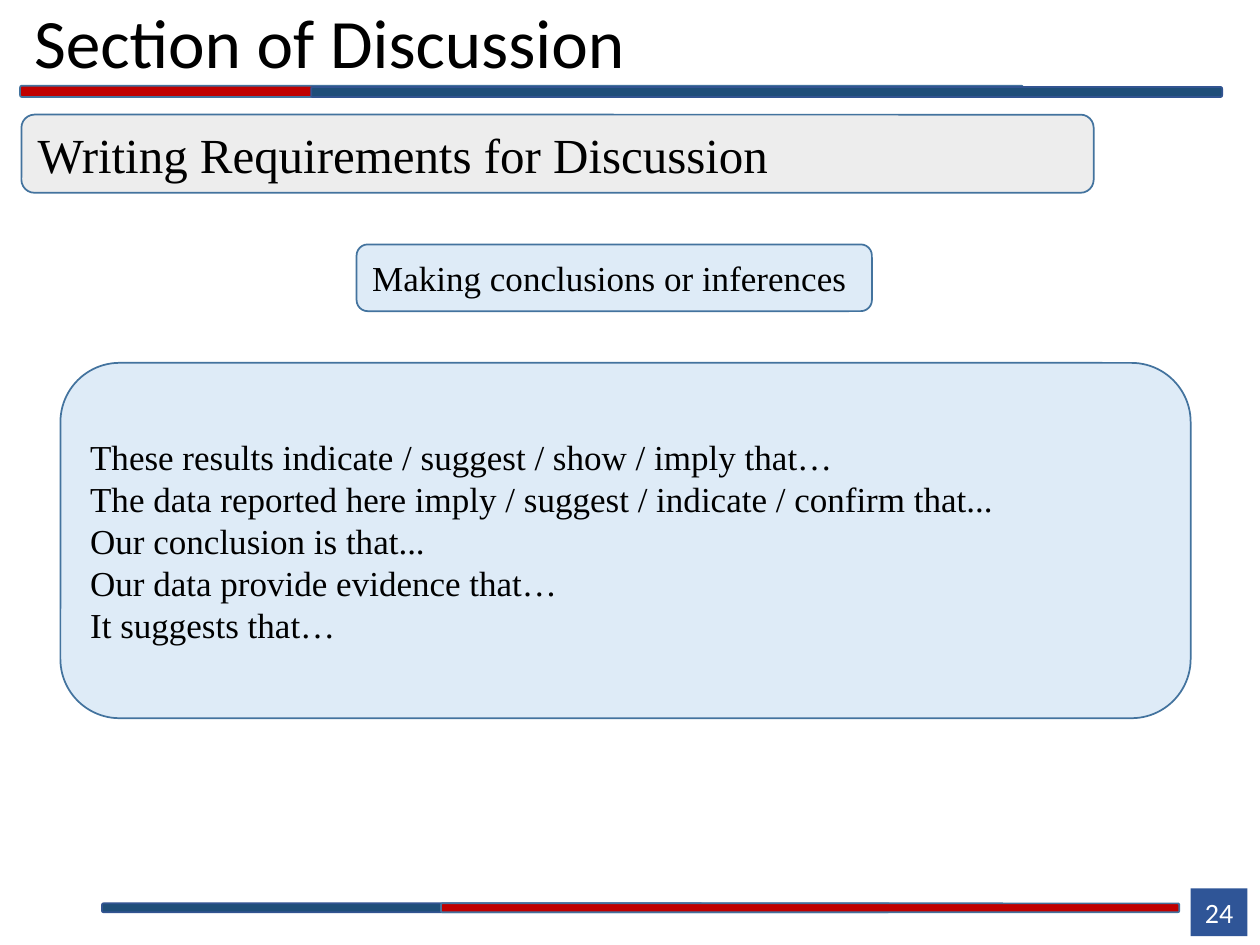
from dataclasses import dataclass

from pptx import Presentation
from pptx.dml.color import RGBColor
from pptx.enum.shapes import MSO_SHAPE
from pptx.enum.text import MSO_ANCHOR, MSO_AUTO_SIZE, PP_ALIGN
from pptx.util import Inches, Pt

RECTANGLE = MSO_SHAPE.RECTANGLE
ROUNDED = MSO_SHAPE.ROUNDED_RECTANGLE
MIDDLE = MSO_ANCHOR.MIDDLE
NO_AUTOFIT = MSO_AUTO_SIZE.NONE
LEFT, CENTER, JUSTIFY = PP_ALIGN.LEFT, PP_ALIGN.CENTER, PP_ALIGN.JUSTIFY
TITLE_ONLY = 5


@dataclass(frozen=True)
class Theme:
    sans: str = "Calibri"
    serif: str = "Times New Roman"
    black: str = "000000"
    white: str = "FFFFFF"
    red: str = "C00000"
    navy: str = "1F4E79"
    badge: str = "2F5597"
    gray: str = "EDEDED"
    pale_blue: str = "DEEBF7"
    outline: str = "43739E"
    navy_outline: str = "325491"
    title_size: float = 39.6
    heading_size: float = 28
    body_size: float = 20
    number_size: float = 16
    line_width: float = 1


THEME = Theme()
PHRASES = [
    "These results indicate / suggest / show / imply that…",
    "The data reported here imply / suggest / indicate / confirm that...",
    "Our conclusion is that...",
    "Our data provide evidence that…",
    "It suggests that…",
]


def place(box):
    return [Inches(length) for length in box]


def write(frame, lines, font, size, color, align):
    frame.word_wrap = True
    frame.vertical_anchor = MIDDLE
    for index, line in enumerate(lines):
        paragraph = frame.add_paragraph() if index else frame.paragraphs[0]
        paragraph.alignment = align
        run = paragraph.add_run()
        run.text = line
        run.font.name = font
        run.font.size = Pt(size)
        run.font.color.rgb = RGBColor.from_string(color)


def add_block(slide, box, fill, outline=None, preset=ROUNDED):
    block = slide.shapes.add_shape(preset, *place(box))
    block.shadow.inherit = False
    block.fill.solid()
    block.fill.fore_color.rgb = RGBColor.from_string(fill)
    if outline:
        block.line.color.rgb = RGBColor.from_string(outline)
        block.line.width = Pt(THEME.line_width)
    else:
        block.line.fill.background()
    return block


def add_title(slide, box):
    title = slide.shapes.title
    title.left, title.top, title.width, title.height = place(box)
    frame = title.text_frame
    write(frame, ["Section of Discussion"], THEME.sans, THEME.title_size, THEME.black, LEFT)
    frame.auto_size = NO_AUTOFIT
    frame.paragraphs[0].line_spacing = 0.9


def add_header_rule(slide, box):
    left, top, width, height = box
    start = 2.31
    add_block(slide, (left, top, 7.96, height), THEME.red, THEME.outline)
    add_block(slide, (left + start, top + 0.01, width - start, height - 0.01),
              THEME.navy, THEME.navy_outline)


def add_footer_rule(slide, box):
    left, top, width, height = box
    start = 2.69
    add_block(slide, (left, top, 6.25, height), THEME.navy, THEME.navy_outline)
    add_block(slide, (left + start, top, width - start, height), THEME.red, THEME.outline)


def add_page_number(slide, box):
    badge = add_block(slide, box, THEME.badge, preset=RECTANGLE)
    write(badge.text_frame, ["24"], THEME.sans, THEME.number_size, THEME.white, CENTER)


def add_panel(slide, box, lines, fill, size, align):
    panel = add_block(slide, box, fill, THEME.outline)
    write(panel.text_frame, lines, THEME.serif, size, THEME.black, align)


def main():
    deck = Presentation()
    deck.slide_width, deck.slide_height = Inches(10), Inches(7.5)
    slide = deck.slides.add_slide(deck.slide_layouts[TITLE_ONLY])
    add_title(slide, (0.17, 0.06, 9.15, 0.61))
    add_page_number(slide, (9.45, 7.05, 0.45, 0.38))
    add_header_rule(slide, (0.16, 0.68, 9.54, 0.09))
    add_footer_rule(slide, (0.81, 7.17, 8.55, 0.07))
    add_panel(slide, (0.17, 0.91, 8.51, 0.62), ["Writing Requirements for Discussion"],
              THEME.gray, THEME.heading_size, LEFT)
    add_panel(slide, (0.48, 2.88, 8.97, 2.82), PHRASES,
              THEME.pale_blue, THEME.body_size, JUSTIFY)
    add_panel(slide, (2.83, 1.94, 4.09, 0.53), ["Making conclusions or inferences"],
              THEME.pale_blue, THEME.body_size, JUSTIFY)
    deck.save("out.pptx")


if __name__ == "__main__":
    main()
